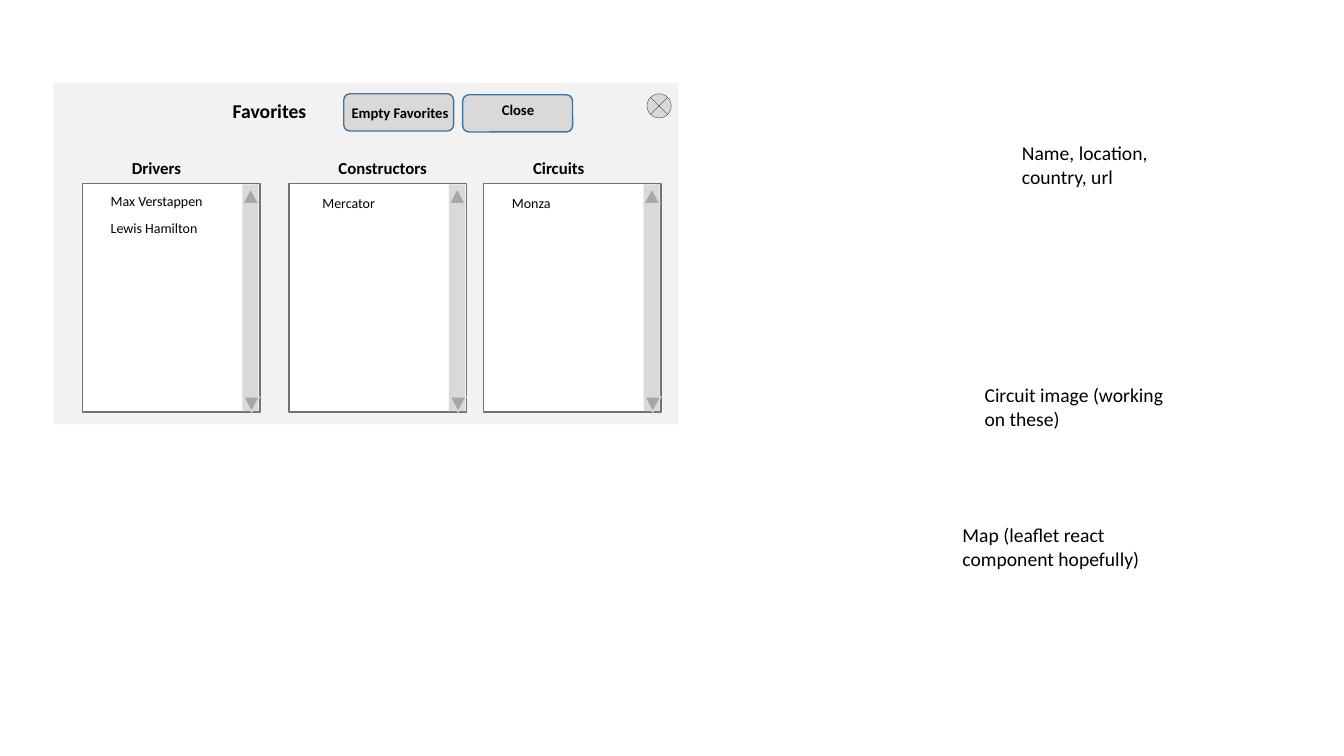
from pptx import Presentation
from pptx.dml.color import RGBColor
from pptx.enum.shapes import MSO_SHAPE
from pptx.enum.text import MSO_AUTO_SIZE
from pptx.util import Pt

FONT = "Calibri"
BLACK, WHITE = "000000", "FFFFFF"
PANEL_GREY, CONTROL_GREY, ARROW_GREY = "F2F2F2", "D9D9D9", "A6A6A6"
LIST_EDGE, BUTTON_EDGE, ICON_EDGE = "767171", "43739E", "3B3838"

LIST_TOP, LIST_WIDTH, LIST_HEIGHT = 131, 126.7, 163.4
ITEM_STEP = 19.5

# heading, list left, heading width, item left, first item top, items
COLUMNS = [
    ("Drivers", 59, 136, 72, 134, ["Max Verstappen", "Lewis Hamilton"]),
    ("Constructors", 206.6, 136, 223.2, 135.3, ["Mercator"]),
    ("Circuits", 345.6, 98.6, 358.6, 135.3, ["Monza"]),
]

# text, left, top, width
NOTES = [
    ("Name, location, country, url", 722.9, 97.2, 126),
    ("Circuit image (working on these)", 696.2, 270, 153.4),
    ("Map (leaflet react component hopefully)", 680.4, 370.1, 153.4),
]


def colour(value):
    return RGBColor.from_string(value)


def add_block(page, kind, left, top, width, height, fill, edge=None, weight=1):
    block = page.shapes.add_shape(kind, Pt(left), Pt(top), Pt(width), Pt(height))
    block.shadow.inherit = False
    block.fill.solid()
    block.fill.fore_color.rgb = colour(fill)
    if edge:
        block.line.color.rgb = colour(edge)
        block.line.width = Pt(weight)
    else:
        block.line.fill.background()
    return block


def add_text(page, text, left, top, width, height, size, bold=False, wrap=True):
    box = page.shapes.add_textbox(Pt(left), Pt(top), Pt(width), Pt(height))
    frame = box.text_frame
    frame.word_wrap = wrap
    frame.auto_size = MSO_AUTO_SIZE.SHAPE_TO_FIT_TEXT
    para = frame.paragraphs[0]
    para.text = text
    para.font.name = FONT
    para.font.size = Pt(size)
    para.font.bold = bold
    para.font.color.rgb = colour(BLACK)


def add_button(page, label, left, top, label_left, label_top, label_width):
    add_block(page, MSO_SHAPE.ROUNDED_RECTANGLE, left, top, 78.5, 26.6,
              CONTROL_GREY, BUTTON_EDGE)
    add_text(page, label, label_left, label_top, label_width, 20.9, 10.5,
             bold=True, wrap=False)


def add_scrollbar(page, left):
    add_block(page, MSO_SHAPE.RECTANGLE, left, LIST_TOP + 0.7, 11.5, 162,
              CONTROL_GREY)
    for shift, top, turn in [(0.8, 283.5, 180), (0.2, 134.6, 0)]:
        arrow = add_block(page, MSO_SHAPE.ISOSCELES_TRIANGLE, left + shift, top,
                          11.5, 10.8, ARROW_GREY, CONTROL_GREY)
        arrow.rotation = turn


def add_column(page, heading, left, heading_width, item_left, item_top, items):
    add_block(page, MSO_SHAPE.RECTANGLE, left, LIST_TOP, LIST_WIDTH, LIST_HEIGHT,
              WHITE, LIST_EDGE)
    add_text(page, heading, left + 28.1, 109.4, heading_width, 21.8, 12, bold=True)
    for row, item in enumerate(items):
        add_text(page, item, item_left, item_top + row * ITEM_STEP, 100.8, 19.4, 10)
    add_scrollbar(page, left + 114.1)


def main():
    deck = Presentation()
    deck.slide_width, deck.slide_height = Pt(960), Pt(540)
    page = deck.slides.add_slide(deck.slide_layouts[6])

    # Favorites panel with its heading and controls
    add_block(page, MSO_SHAPE.RECTANGLE, 38.2, 59, 446.4, 244.1, PANEL_GREY)
    add_text(page, "Favorites", 159.1, 67, 126, 24.5, 14, bold=True)
    add_button(page, "Empty Favorites", 245.5, 67, 244.1, 70.6, 89.3)
    add_button(page, "Close", 330.5, 67.7, 351.4, 68.4, 38.9)
    add_block(page, MSO_SHAPE.FLOWCHART_SUMMING_JUNCTION, 462.2, 67, 17.3, 17.3,
              CONTROL_GREY, ICON_EDGE, 0.25)

    # Scrolling lists
    for column in COLUMNS:
        add_column(page, *column)

    # Notes beside the panel
    for text, left, top, width in NOTES:
        add_text(page, text, left, top, width, 41, 14)

    deck.save("out.pptx")


if __name__ == "__main__":
    main()
